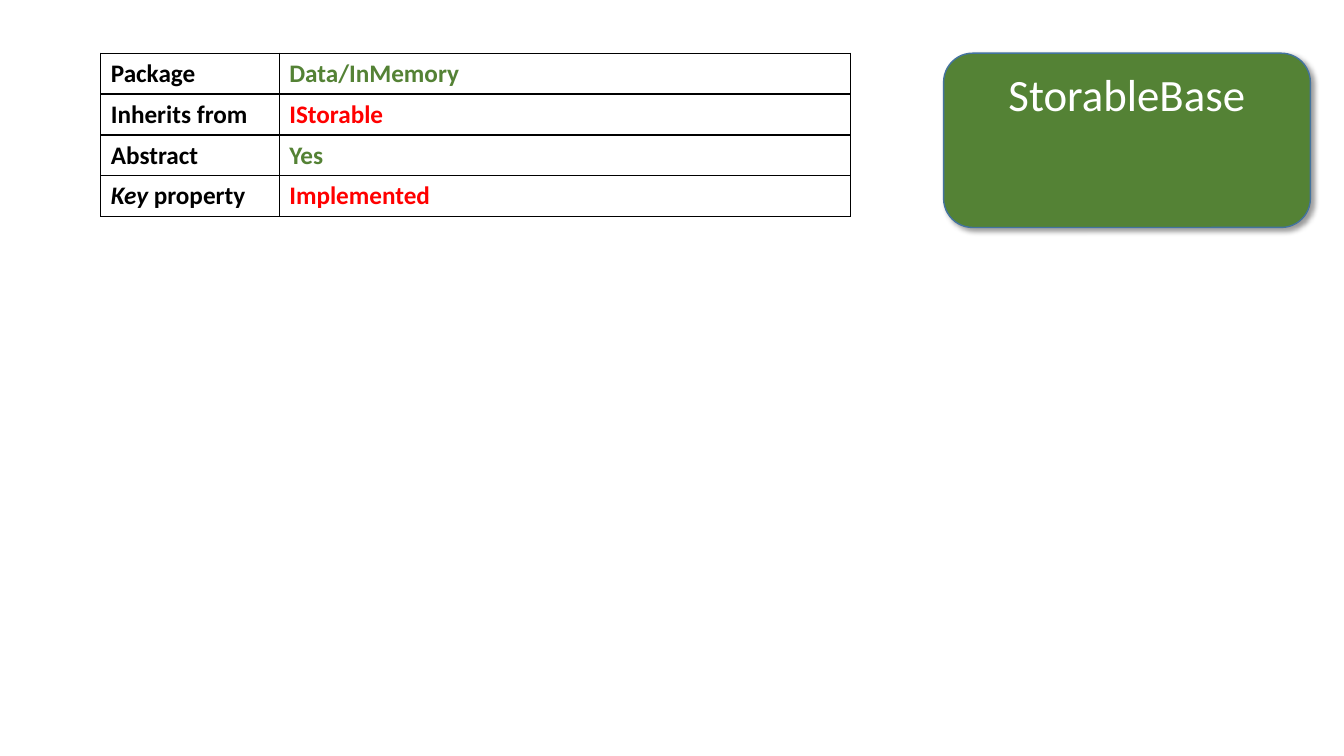
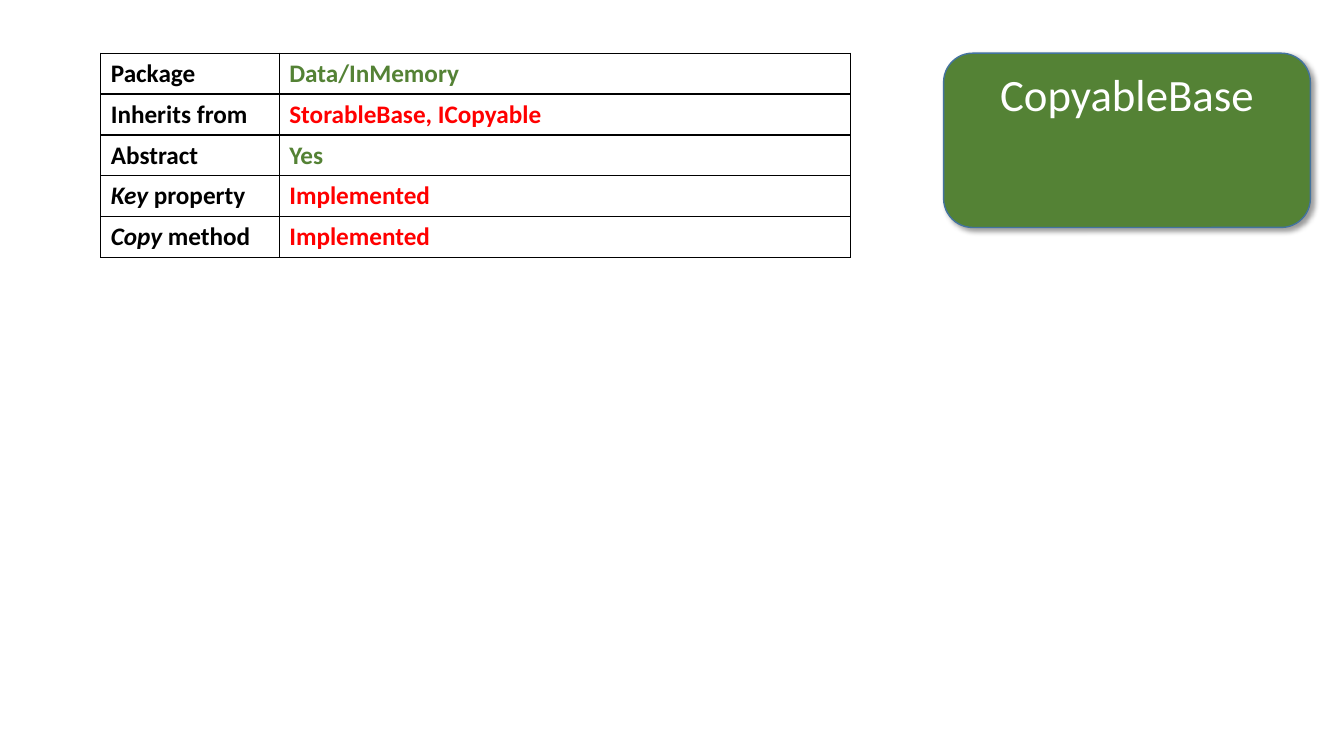
from dataclasses import dataclass

from lxml.etree import SubElement
from pptx import Presentation
from pptx.dml.color import RGBColor
from pptx.enum.shapes import MSO_SHAPE
from pptx.enum.text import MSO_ANCHOR, PP_ALIGN
from pptx.oxml.ns import qn
from pptx.util import Pt


@dataclass(frozen=True)
class Theme:
    font: str = "Calibri"
    title: int = 32
    body: int = 18
    black: str = "000000"
    white: str = "FFFFFF"
    green: str = "548235"
    red: str = "FF0000"
    edge: str = "43739E"


THEME = Theme()
TOP = 38
ROW = 29.2
COLS = (127.5, 408)


class Deck:
    def __init__(self, theme):
        self.theme = theme
        self.file = Presentation()
        self.file.slide_width, self.file.slide_height = Pt(960), Pt(540)
        self.slide = None

    def new(self):
        self.slide = self.file.slides.add_slide(self.file.slide_layouts[6])

    def style(self, para, size, color, bold=False):
        font = para.font
        font.name, font.size, font.bold = self.theme.font, Pt(size), bold
        font.color.rgb = RGBColor.from_string(color)

    def shade(self, shape):
        """Cast a soft shadow down and to the right."""
        shape.shadow.inherit = False
        list_ = shape._element.spPr.find(qn("a:effectLst"))
        cast = SubElement(list_, qn("a:outerShdw"), blurRad=str(Pt(4)),
                          dist=str(Pt(3)), dir="2700000", algn="tl", rotWithShape="0")
        tint = SubElement(cast, qn("a:srgbClr"), val=self.theme.black)
        SubElement(tint, qn("a:alpha"), val="40000")

    def badge(self, name):
        """Draw the rounded box that names the class."""
        box = self.slide.shapes.add_shape(
            MSO_SHAPE.ROUNDED_RECTANGLE, Pt(674), Pt(TOP), Pt(262), Pt(124.5))
        box.fill.solid()
        box.fill.fore_color.rgb = RGBColor.from_string(self.theme.green)
        box.line.color.rgb = RGBColor.from_string(self.theme.edge)
        box.line.width = Pt(1)
        self.shade(box)
        frame = box.text_frame
        frame.vertical_anchor = MSO_ANCHOR.TOP
        para = frame.paragraphs[0]
        para.text = name
        para.alignment = PP_ALIGN.CENTER
        self.style(para, self.theme.title, self.theme.white)

    def border(self, cell):
        props = cell._tc.get_or_add_tcPr()
        for side in ("lnL", "lnR", "lnT", "lnB"):
            line = SubElement(props, qn(f"a:{side}"), w=str(Pt(1)))
            fill = SubElement(line, qn("a:solidFill"))
            SubElement(fill, qn("a:srgbClr"), val=self.theme.black)

    def cell(self, cell, text, color, slant=""):
        """Fill a cell, with the word in slant set in italics before the text."""
        self.border(cell)
        cell.fill.background()
        para = cell.text_frame.paragraphs[0]
        if slant:
            run = para.add_run()
            run.text = slant
            run.font.italic = True
        para.add_run().text = text
        self.style(para, self.theme.body, color, bold=True)

    def table(self, rows):
        """Draw rows of (slanted word, label, value, value color)."""
        grid = self.slide.shapes.add_table(
            len(rows), len(COLS), Pt(72), Pt(TOP), Pt(sum(COLS)), Pt(ROW * len(rows))).table
        grid.first_row = grid.horz_banding = False
        for col, width in zip(grid.columns, COLS):
            col.width = Pt(width)
        for line, (slant, label, value, color) in zip(grid.rows, rows):
            line.height = Pt(ROW)
            self.cell(line.cells[0], label, self.theme.black, slant)
            self.cell(line.cells[1], value, color)


def main():
    deck = Deck(THEME)
    pages = (
        ("StorableBase", "IStorable", (("Key", " property"),)),
        ("CopyableBase", "StorableBase, ICopyable",
         (("Key", " property"), ("Copy", " method"))),
    )
    for name, bases, members in pages:
        deck.new()
        deck.badge(name)
        deck.table([
            ("", "Package", "Data/InMemory", THEME.green),
            ("", "Inherits from", bases, THEME.red),
            ("", "Abstract", "Yes", THEME.green),
            *((word, kind, "Implemented", THEME.red) for word, kind in members),
        ])
    deck.file.save("out.pptx")


if __name__ == "__main__":
    main()
